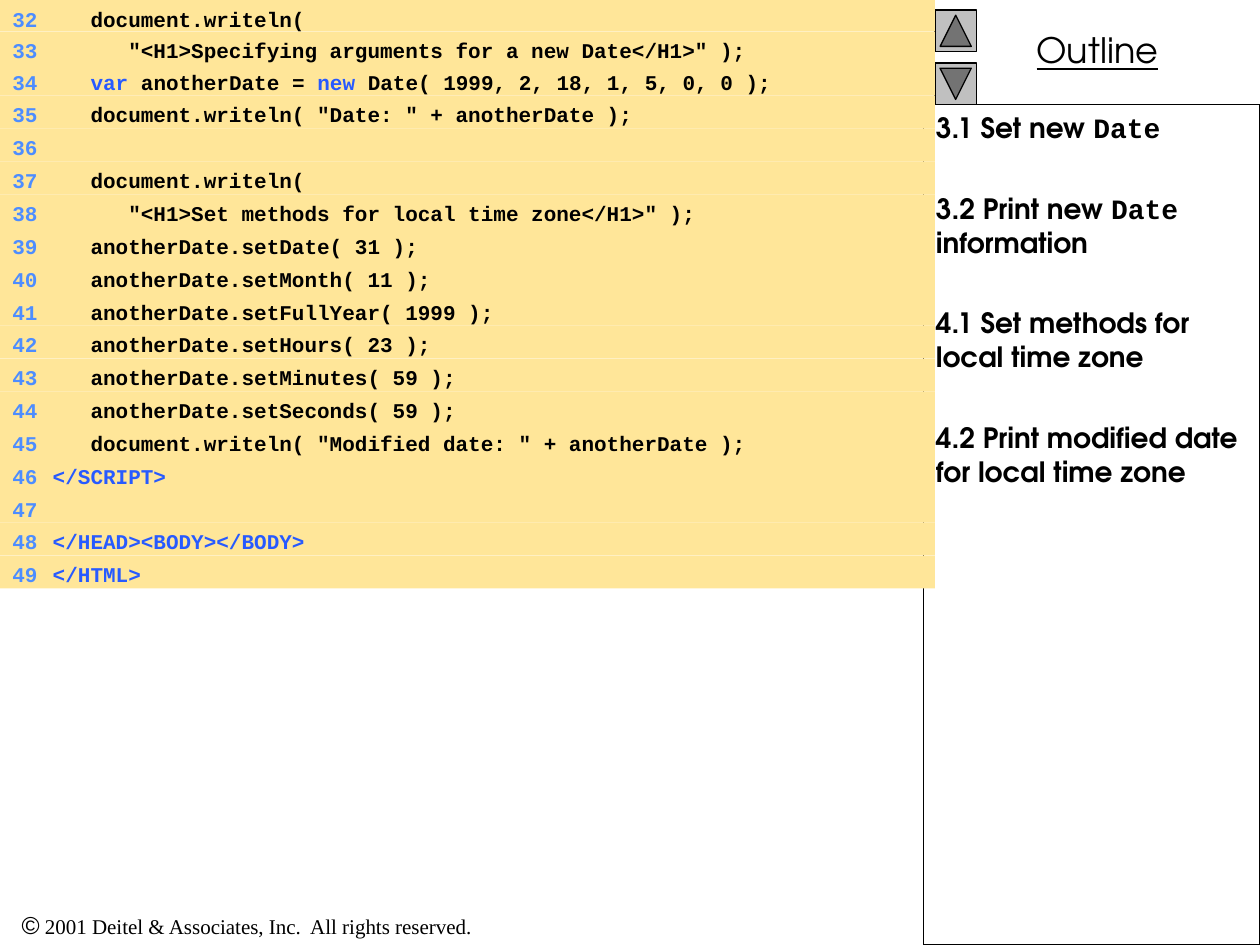
"""Build the code listing slide with its outline panel."""
from lxml import etree
from pptx import Presentation
from pptx import util as u
from pptx.dml.color import RGBColor
from pptx.enum import shapes, text
from pptx.oxml.ns import qn

BLACK = RGBColor(0x00, 0x00, 0x00)
WHITE = RGBColor(0xFF, 0xFF, 0xFF)
GRAY = RGBColor(0xC0, 0xC0, 0xC0)
CREAM = RGBColor(0xFF, 0xE6, 0x99)
SKY = RGBColor(0x4D, 0x8D, 0xFF)
BLUE = RGBColor(0x27, 0x5A, 0xFF)
SANS, MONO = "TeX Gyre Adventor", "Courier New"

FIRST = 32
CODE = [
    [("   document.writeln(", BLACK)],
    [('      "<H1>Specifying arguments for a new Date</H1>" );', BLACK)],
    [("   ", BLACK), ("var", BLUE), (" anotherDate = ", BLACK), ("new", BLUE),
     (" Date( 1999, 2, 18, 1, 5, 0, 0 );", BLACK)],
    [('   document.writeln( "Date: " + anotherDate );', BLACK)],
    [],
    [("   document.writeln(", BLACK)],
    [('      "<H1>Set methods for local time zone</H1>" );', BLACK)],
    [("   anotherDate.setDate( 31 );", BLACK)],
    [("   anotherDate.setMonth( 11 );", BLACK)],
    [("   anotherDate.setFullYear( 1999 );", BLACK)],
    [("   anotherDate.setHours( 23 );", BLACK)],
    [("   anotherDate.setMinutes( 59 );", BLACK)],
    [("   anotherDate.setSeconds( 59 );", BLACK)],
    [('   document.writeln( "Modified date: " + anotherDate );', BLACK)],
    [("</SCRIPT>", BLUE)],
    [],
    [("</HEAD><BODY></BODY>", BLUE)],
    [("</HTML>", BLUE)],
]
STEPS = [
    [("3.1 Set new ", SANS), ("Date", MONO)],
    [("3.2 Print new ", SANS), ("Date", MONO), (" information", SANS)],
    [("4.1 Set methods for local time zone", SANS)],
    [("4.2 Print modified date for local time zone", SANS)],
]
RIGHTS = [("©", "Arial", 14),
          (" 2001 Deitel & Associates, Inc.  All rights reserved.", "Times New Roman", 12)]
BUTTONS = [(0.08, 90), (0.5, 270)]
TABS = [(0.15, "r"), (0.32, "l")]
HEAD, TALL, PITCH = 2, 0.25, 4.17 / 16


def add_run(para, words, face, size, color, bold=False):
    run = para.add_run()
    run.text = words
    font = run.font
    font.name, font.size, font.bold = face, u.Pt(size), bold
    font.color.rgb = color


def add_box(slide, kind, place, fill, line=None):
    box = slide.shapes.add_shape(kind, *map(u.Inches, place))
    box.shadow.inherit = False
    box.fill.solid()
    box.fill.fore_color.rgb = fill
    if line is None:
        box.line.fill.background()
    else:
        box.line.color.rgb = line
        box.line.width = u.Pt(0.75)
    box.text_frame.word_wrap = True
    box.text_frame.vertical_anchor = text.MSO_ANCHOR.TOP
    return box


def set_tabs(para):
    props = para._p.get_or_add_pPr()
    tabs = etree.SubElement(props, qn("a:tabLst"))
    for pos, side in TABS:
        etree.SubElement(tabs, qn("a:tab"), pos=str(u.Inches(pos)), algn=side)


def add_title(slide):
    title = slide.shapes.title
    title.left, title.top, title.width, title.height = map(u.Inches, (7.42, 0.17, 2.58, 0.44))
    frame = title.text_frame
    frame.auto_size = text.MSO_AUTO_SIZE.NONE
    frame.vertical_anchor = text.MSO_ANCHOR.MIDDLE
    para = frame.paragraphs[0]
    para.alignment = text.PP_ALIGN.CENTER
    add_run(para, "Outline", SANS, 20, BLACK)
    para.runs[0].font.underline = True


def add_rights(slide):
    box = slide.shapes.add_textbox(*map(u.Inches, (0, 7.17, 3.92, 0.34)))
    box.text_frame.word_wrap = True
    para = box.text_frame.paragraphs[0]
    para.alignment = text.PP_ALIGN.CENTER
    for words, face, size in RIGHTS:
        add_run(para, words, face, size, BLACK)


def add_steps(slide):
    panel = add_box(slide, shapes.MSO_SHAPE.RECTANGLE, (7.33, 0.83, 2.67, 6.67), WHITE, BLACK)
    frame = panel.text_frame
    for i, step in enumerate(STEPS):
        para = frame.add_paragraph() if i else frame.paragraphs[0]
        para.alignment = text.PP_ALIGN.LEFT
        para.space_before = u.Pt(27 if i else 0)
        for words, face in step:
            add_run(para, words, face, 16, BLACK, True)


def add_code(slide):
    for i, parts in enumerate(CODE):
        top = TALL * min(i, HEAD) + PITCH * max(i - HEAD, 0)
        high = TALL if i < HEAD else PITCH
        row = add_box(slide, shapes.MSO_SHAPE.RECTANGLE, (0, top, 7.42, high), CREAM)
        para = row.text_frame.paragraphs[0]
        para.alignment = text.PP_ALIGN.LEFT
        set_tabs(para)
        for words, color in [(f"\t{FIRST + i}\t", SKY)] + parts:
            add_run(para, words, MONO, 12, color, True)


def main():
    deck = Presentation()
    deck.slide_width, deck.slide_height = u.Inches(10), u.Inches(7.5)
    slide = deck.slides.add_slide(deck.slide_layouts[5])
    add_title(slide)
    add_rights(slide)
    for top, turn in BUTTONS:
        button = add_box(slide, shapes.MSO_SHAPE.ACTION_BUTTON_BACK_OR_PREVIOUS,
                         (7.42, top, 0.33, 0.33), GRAY, BLACK)
        button.rotation = turn
    add_steps(slide)
    add_code(slide)
    deck.save("out.pptx")


if __name__ == "__main__":
    main()
